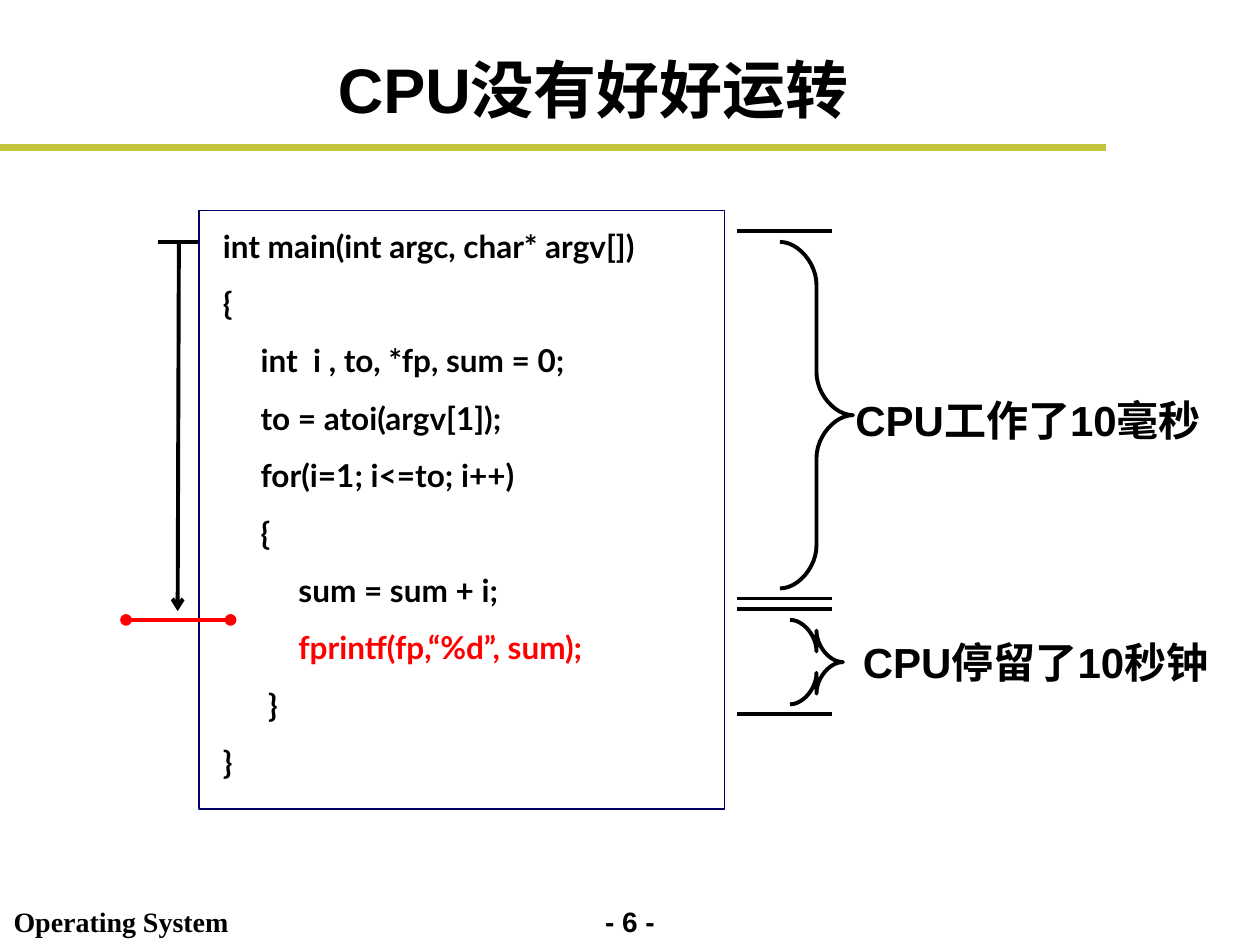
from lxml import etree
from pptx import Presentation
from pptx.dml.color import RGBColor
from pptx.enum import shapes, text
from pptx.oxml import ns
from pptx.util import Inches, Pt

HUES = {"ink": "000000", "red": "FF0000", "rule": "C1C43C",
        "edge": "000066", "paper": "FFFFFF"}

# Code lines: indent in inches, text, colour
CODE = [
    (0, "int main(int argc, char* argv[])", "ink"),
    (0, "{", "ink"),
    (0.3, "int  i , to, *fp, sum = 0;", "ink"),
    (0.3, "to = atoi(argv[1]);", "ink"),
    (0.3, "for(i=1; i<=to; i++)", "ink"),
    (0.3, "{", "ink"),
    (0.6, "sum = sum + i;", "ink"),
    (0.6, "fprintf(fp,“%d”, sum);", "red"),
    (0.36, "}", "ink"),
    (0, "}", "ink"),
]


def color(name):
    return RGBColor.from_string(HUES[name])


def style(para, size, face="Arial", hue="ink"):
    font = para.font
    font.size, font.name, font.bold = Pt(size), face, True
    font.color.rgb = color(hue)


def add_text(slide, box, words, size, face="Arial", wrap=False, before=0,
             align=text.PP_ALIGN.LEFT):
    frame = slide.shapes.add_textbox(*map(Inches, box)).text_frame
    frame.word_wrap = wrap
    para = frame.paragraphs[0]
    para.text = words
    para.alignment = align
    para.space_before = Pt(before)
    style(para, size, face)


def add_line(slide, start, end, hue="ink", width=2.25, head=None, tail=None):
    line = slide.shapes.add_connector(
        shapes.MSO_CONNECTOR.STRAIGHT, *map(Inches, start + end))
    line.line.color.rgb = color(hue)
    line.line.width = Pt(width)
    stroke = line.line._get_or_add_ln()
    for tag, kind in (("a:headEnd", head), ("a:tailEnd", tail)):
        if kind:
            etree.SubElement(stroke, ns.qn(tag)).set("type", kind)
    etree.SubElement(line._element.spPr, ns.qn("a:effectLst"))


def add_brace(slide, left, top, width, height, bend):
    """Right brace whose four curves are each bend high."""
    steps = [i / 12 for i in range(13)]
    arc = [(1.5 * t * (1 - t) ** 2 + 3 * t ** 2 * (1 - t) + t ** 3,
            1.5 * t ** 2 * (1 - t) + t ** 3) for t in steps]
    half, mid = width / 2, height / 2
    upper = [(x * half, y * bend) for x, y in arc]
    upper += [(width - x * half, mid - y * bend) for x, y in reversed(arc)]
    lower = [(x, height - y) for x, y in reversed(upper)]
    points = [(Inches(left + x), Inches(top + y)) for x, y in upper + lower]
    pen = slide.shapes.build_freeform(*points[0])
    pen.add_line_segments(points[1:], close=False)
    brace = pen.convert_to_shape()
    brace.shadow.inherit = False
    brace.fill.background()
    brace.line.color.rgb = color("ink")
    brace.line.width = Pt(2.25)


def add_title(slide, words):
    title = slide.shapes.title
    title.left, title.top, title.width, title.height = map(
        Inches, (0.42, 0.33, 8.58, 0.74))
    title.text_frame.text = words
    title.text_frame.vertical_anchor = text.MSO_ANCHOR.MIDDLE
    para = title.text_frame.paragraphs[0]
    para.alignment = text.PP_ALIGN.CENTER
    style(para, 36)


def add_code(slide):
    panel = slide.shapes.add_shape(
        shapes.MSO_SHAPE.RECTANGLE, *map(Inches, (1.58, 1.67, 4.17, 4.75)))
    panel.shadow.inherit = False
    panel.fill.solid()
    panel.fill.fore_color.rgb = color("paper")
    panel.line.color.rgb = color("edge")
    panel.line.width = Pt(0.75)
    frame = slide.shapes.add_textbox(
        *map(Inches, (1.67, 1.75, 4.25, 4.51))).text_frame
    frame.word_wrap = True
    for i, (indent, words, hue) in enumerate(CODE):
        para = frame.add_paragraph() if i else frame.paragraphs[0]
        para.text = words
        para.space_before = Pt(11.2)
        para._p.get_or_add_pPr().set("marL", str(Inches(indent)))
        style(para, 18, "Lato", hue)


def main():
    deck = Presentation()
    deck.slide_width, deck.slide_height = Inches(10), Inches(7.5)
    slide = deck.slides.add_slide(deck.slide_layouts[5])

    # Title, rule and footer
    add_title(slide, "CPU没有好好运转")
    add_line(slide, (0, 1.17), (8.78, 1.17), "rule", 4)
    add_text(slide, (4.5, 7.13, 1, 0.37), "- 6 -", 16, wrap=True, before=10,
             align=text.PP_ALIGN.CENTER)
    add_text(slide, (0.01, 7.13, 2.2, 0.37), "Operating System", 16,
             "Times New Roman", wrap=True, before=10)

    # Code with the flow down to the slow call
    add_line(slide, (1.25, 1.92), (1.58, 1.92))
    add_line(slide, (1.42, 1.92), (1.41, 4.85), tail="arrow")
    add_code(slide)
    add_line(slide, (1, 4.92), (1.83, 4.92), "red", head="oval", tail="oval")

    # Time spans
    for y in (1.83, 4.75, 4.83, 5.67):
        add_line(slide, (5.85, y), (6.6, y))
    add_brace(slide, 6.19, 1.92, 0.58, 2.75, 0.34)
    add_brace(slide, 6.27, 4.92, 0.42, 0.67, 0.25)
    add_text(slide, (6.69, 3.08, 3.18, 0.5), "CPU工作了10毫秒", 24)
    add_text(slide, (6.75, 5, 3.18, 0.5), "CPU停留了10秒钟", 24)

    deck.save("out.pptx")


if __name__ == "__main__":
    main()
